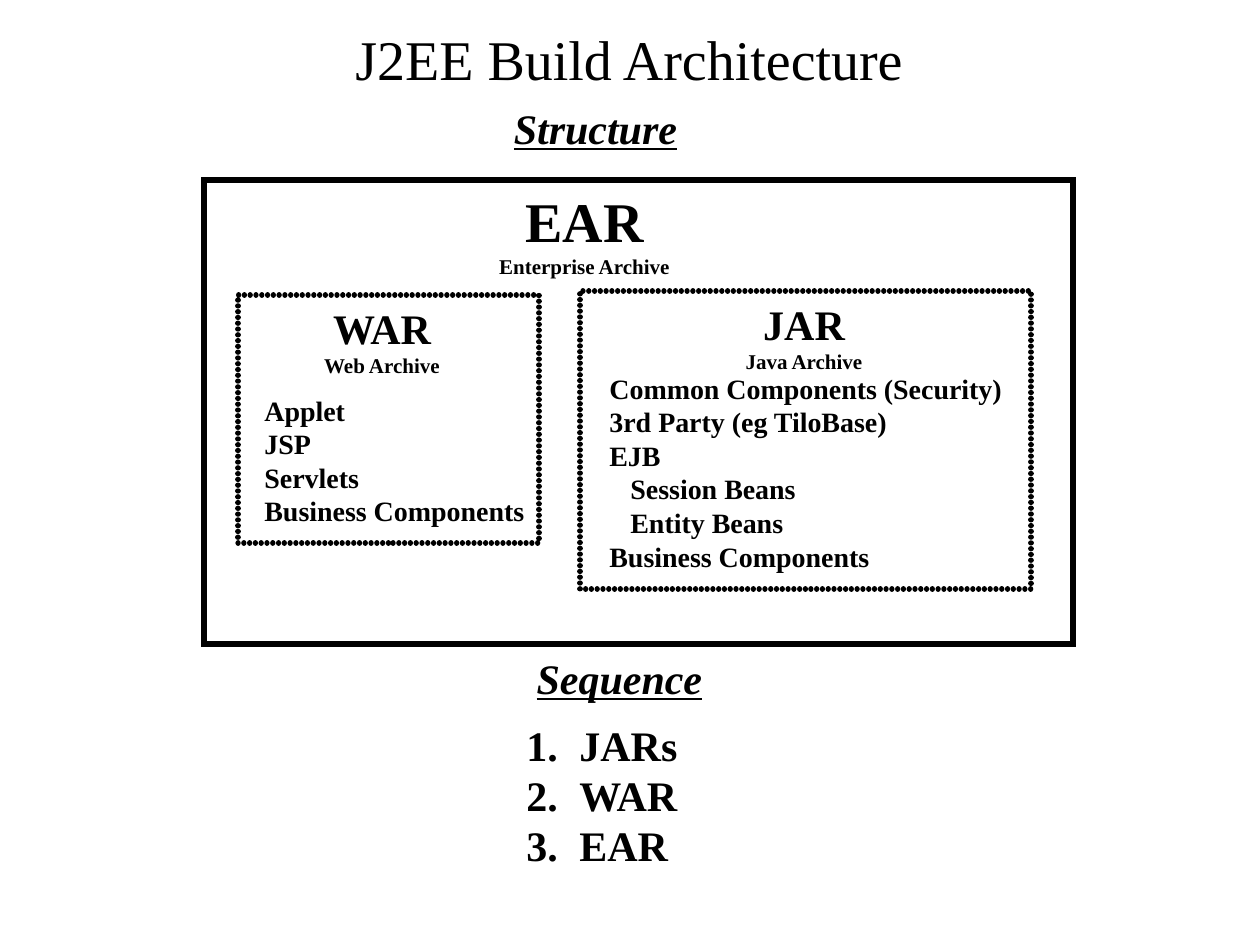
from lxml.etree import SubElement
from pptx import Presentation
from pptx.dml.color import RGBColor
from pptx.enum.shapes import MSO_SHAPE as Shape
from pptx.enum.text import MSO_ANCHOR as Anchor, MSO_AUTO_SIZE as AutoSize, PP_ALIGN as Align
from pptx.oxml.ns import qn
from pptx.util import Pt

PX = 914400 // 126
BLACK = RGBColor(0, 0, 0)
FONT = "Times New Roman"
HEADING_SIZE = (1071, 53)
BEAN_INDENT = 21
NUMBER_INDENT = 53

HEADINGS = [
    ("J2EE Build Architecture", 94, 32, 32, False),
    ("Structure", 60, 101, 24, True),
    ("Sequence", 84, 651, 24, True),
]
ARCHIVES = [
    ((204, 180, 869, 464), False, (486, 180, 197, 106), "EAR", 32, "Enterprise Archive", None, []),
    ((238, 295, 301, 248), True, (310, 296, 144, 88), "WAR", 24, "Web Archive", (252, 387, 287, 147), [
        ("Applet", 0), ("JSP", 0), ("Servlets", 0), ("Business Components", 0)]),
    ((580, 291, 451, 298), True, (732, 292, 144, 88), "JAR", 24, "Java Archive", (597, 365, 425, 214), [
        ("Common Components (Security)", 0), ("3rd Party (eg TiloBase)", 0), ("EJB", 0),
        ("Session Beans", BEAN_INDENT), ("Entity Beans", BEAN_INDENT), ("Business Components", 0)]),
]
SEQUENCE_BOX = (514, 713, 180, 164)
SEQUENCE = ["JARs", "WAR", "EAR"]


def scale(box):
    return [value * PX for value in box]


def add_frame(slide, box, dotted):
    shape = slide.shapes.add_shape(Shape.RECTANGLE, *scale(box))
    shape.shadow.inherit = False
    shape.fill.background()
    shape.line.color.rgb = BLACK
    shape.line.width = Pt(3)
    line = shape.line._get_or_add_ln()
    if dotted:
        line.set("cap", "rnd")
        SubElement(SubElement(line, qn("a:custDash")), qn("a:ds"), d="100000", sp="10000")
    SubElement(line, qn("a:miter"), lim="800000")


def add_text(slide, box, lines, align=Align.LEFT, anchor=Anchor.TOP, wrap=False, bold=True):
    """Add a text box of (text, size, left margin, first-line indent) lines."""
    frame = slide.shapes.add_textbox(*scale(box)).text_frame
    frame.word_wrap = wrap
    frame.auto_size = AutoSize.NONE if wrap else AutoSize.SHAPE_TO_FIT_TEXT
    frame.vertical_anchor = anchor
    for index, (text, size, margin, indent) in enumerate(lines):
        paragraph = frame.add_paragraph() if index else frame.paragraphs[0]
        paragraph.text = text
        paragraph.alignment = align
        font = paragraph.font
        font.name, font.size, font.bold = FONT, Pt(size), bold
        font.color.rgb = BLACK
        if margin:
            properties = paragraph._p.get_or_add_pPr()
            properties.set("marL", str(margin * PX))
            properties.set("indent", str(indent * PX))
    return frame


def main():
    presentation = Presentation()
    presentation.slide_width, presentation.slide_height = scale((1260, 945))
    slide = presentation.slides.add_slide(presentation.slide_layouts[6])

    for text, left, top, size, emphasised in HEADINGS:
        frame = add_text(slide, (left, top, *HEADING_SIZE), [(text, size, 0, 0)],
                         Align.CENTER, Anchor.MIDDLE, wrap=True, bold=emphasised)
        font = frame.paragraphs[0].font
        font.italic = font.underline = emphasised

    for box, dotted, label_box, name, size, meaning, list_box, contents in ARCHIVES:
        add_frame(slide, box, dotted)
        add_text(slide, label_box, [(name, size, 0, 0), (meaning, 12, 0, 0)], Align.CENTER)
        if contents:
            add_text(slide, list_box, [(text, 16, indent, 0) for text, indent in contents], wrap=True)

    add_text(slide, SEQUENCE_BOX, [(f"{number}.\t{name}", 24, NUMBER_INDENT, -NUMBER_INDENT)
                                   for number, name in enumerate(SEQUENCE, 1)])
    presentation.save("out.pptx")


if __name__ == "__main__":
    main()
